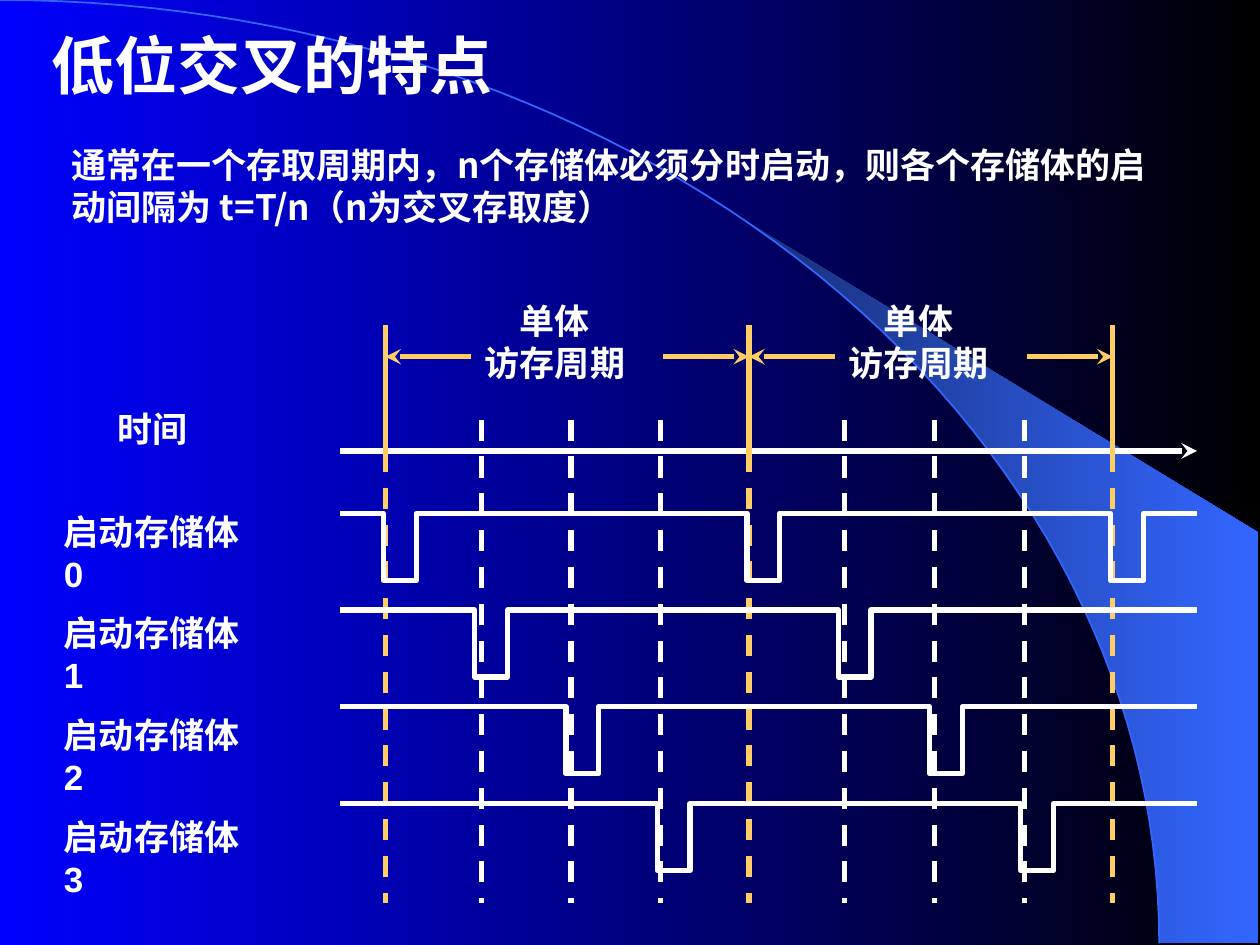
from math import asin, cos, pi, sin

from lxml.etree import SubElement
from pptx import Presentation
from pptx.dml.color import RGBColor
from pptx.enum.dml import MSO_LINE
from pptx.enum.shapes import MSO_CONNECTOR
from pptx.enum.text import PP_ALIGN
from pptx.oxml.ns import qn
from pptx.util import Cm, Pt

# Content
TITLE = "低位交叉的特点"
SUMMARY = "通常在一个存取周期内，n个存储体必须分时启动，则各个存储体的启动间隔为 t=T/n（n为交叉存取度）"
TIME_LABEL = "时间"
PERIOD_LABEL = ["单体", "访存周期"]
BANKS = ["启动存储体 0", "启动存储体 1", "启动存储体 2", "启动存储体 3"]

WHITE, GOLD, BLUE = "FFFFFF", "FFCC66", "3366FF"

# Timing grid, in cm
AXIS_LEFT, AXIS_RIGHT, AXIS_Y = 6.86, 24.13, 9.09
PERIOD = 7.33
PERIOD_STARTS = [7.77 + PERIOD * i for i in range(3)]
BANK_MARKS = [1.93 + 1.81 * i for i in range(3)]
MARK_TOP, MARK_BOTTOM = 8.46, 18.2
PULSE_LEFT, PULSE_DELAY, PULSE_WIDTH, PULSE_DEPTH = 7.73, 1.84, 0.66, 1.35
WAVE_TOP, WAVE_STEP = 10.35, 1.95
LABEL_TOP, LABEL_STEP = 10.16, 2.05
ARC_WIDTH, ARC_HEIGHT = 23.37, 19.02

prs = Presentation()
prs.slide_width, prs.slide_height = Cm(25.4), Cm(19.05)
slide = prs.slides.add_slide(prs.slide_layouts[6])


def rgb(color):
    return RGBColor.from_string(color)


def set_gradient(fill, start, end):
    fill.gradient()
    fill.gradient_angle = 0
    for stop, color, position in zip(fill.gradient_stops, (start, end), (0, 1)):
        stop.color.rgb = rgb(color)
        stop.position = position


def add_outline(points, color=None, width=3, close=False):
    corners = [(Cm(x), Cm(y)) for x, y in points]
    builder = slide.shapes.build_freeform(*corners[0])
    builder.add_line_segments(corners[1:], close=close)
    outline = builder.convert_to_shape()
    outline.shadow.inherit = False
    outline.fill.background()
    if color:
        outline.line.color.rgb = rgb(color)
        outline.line.width = Pt(width)
    else:
        outline.line.fill.background()
    return outline


def add_line(x1, y1, x2, y2, color, dashed=False, arrow=False):
    line = slide.shapes.add_connector(
        MSO_CONNECTOR.STRAIGHT, Cm(x1), Cm(y1), Cm(x2), Cm(y2))
    line.line.color.rgb = rgb(color)
    line.line.width = Pt(3)
    if dashed:
        line.line.dash_style = MSO_LINE.DASH
    properties = line._element.spPr
    if arrow:
        SubElement(properties.find(qn("a:ln")), qn("a:tailEnd"), type="stealth")
    SubElement(properties, qn("a:effectLst"))


def add_text(lines, left, top, width, height, size=20, font="Arial",
             wrap=True, align=PP_ALIGN.LEFT):
    frame = slide.shapes.add_textbox(Cm(left), Cm(top), Cm(width), Cm(height)).text_frame
    frame.word_wrap = wrap
    for i, line in enumerate(lines):
        paragraph = frame.add_paragraph() if i else frame.paragraphs[0]
        paragraph.alignment = align
        run = paragraph.add_run()
        run.text = line
        run.font.size, run.font.bold, run.font.name = Pt(size), True, font
        run.font.color.rgb = rgb(WHITE)


def arc_points(start, steps=60):
    angles = [start + (pi / 2 - start) * i / steps for i in range(steps + 1)]
    return [(ARC_WIDTH * sin(a), ARC_HEIGHT * (1 - cos(a))) for a in angles]


# Background: gradient, light wedge and arc
set_gradient(slide.background.fill, "0000FF", "000000")
wedge = add_outline(arc_points(asin(0.64)) + [(25.37, 19.02), (25.37, 10.74)], close=True)
set_gradient(wedge.fill, "182F76", BLUE)
add_outline(arc_points(0), BLUE, 1)

# Heading and summary
add_text([TITLE], 0.79, 0.41, 11.23, 1.78, size=36)
add_text([SUMMARY], 1.19, 2.77, 22.81, 1.96, font="Noto Sans CJK SC")

# Dashed start marks and time axis
for start in PERIOD_STARTS[:2]:
    for offset in BANK_MARKS:
        add_line(start + offset, MARK_TOP, start + offset, MARK_BOTTOM, WHITE, dashed=True)
for start in PERIOD_STARTS:
    add_line(start, AXIS_Y, start, MARK_BOTTOM, GOLD, dashed=True)
add_text([TIME_LABEL], 2.11, 8.1, 1.96, 1.12, wrap=False)
add_line(AXIS_LEFT, AXIS_Y, AXIS_RIGHT, AXIS_Y, WHITE, arrow=True)

# Bank labels and waveforms
for i, bank in enumerate(BANKS):
    add_text([bank], 1.04, LABEL_TOP + LABEL_STEP * i, 4.55, 1.12)
    high = WAVE_TOP + WAVE_STEP * i
    low = high + PULSE_DEPTH
    wave = [(AXIS_LEFT, high)]
    for pulse in range(3 if i == 0 else 2):
        fall = PULSE_LEFT + PULSE_DELAY * i + PERIOD * pulse
        rise = fall + PULSE_WIDTH
        wave += [(fall, high), (fall, low), (rise, low), (rise, high)]
    add_outline(wave + [(AXIS_RIGHT, high)], WHITE)

# Access period markers
for start in PERIOD_STARTS[:2]:
    end = start + PERIOD
    add_text(PERIOD_LABEL, start + 1.73, 5.92, 3.38, 1.96, wrap=False, align=PP_ALIGN.CENTER)
    add_line(start + 1.73, 7.19, start, 7.19, GOLD, arrow=True)
    add_line(end - 1.73, 7.19, end, 7.19, GOLD, arrow=True)
for start in PERIOD_STARTS:
    add_line(start, 6.55, start, 9.32, GOLD)

prs.save("out.pptx")
